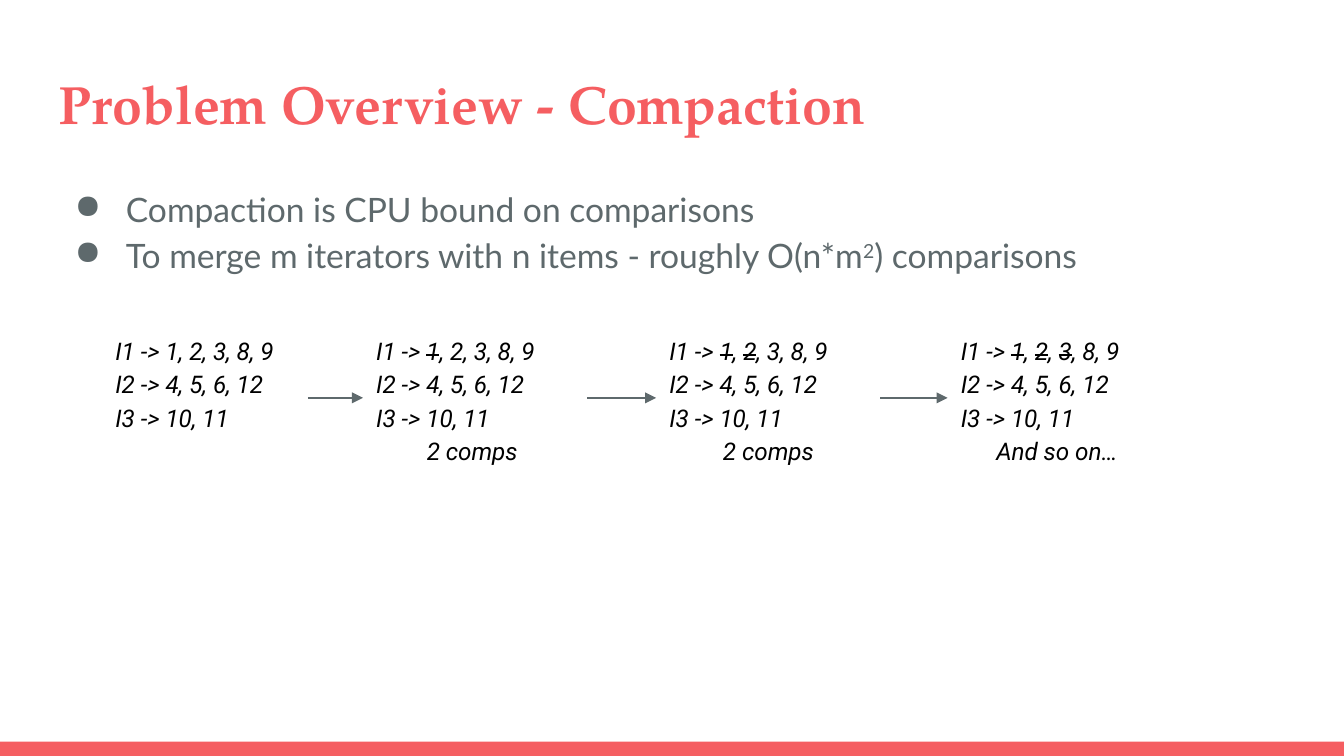
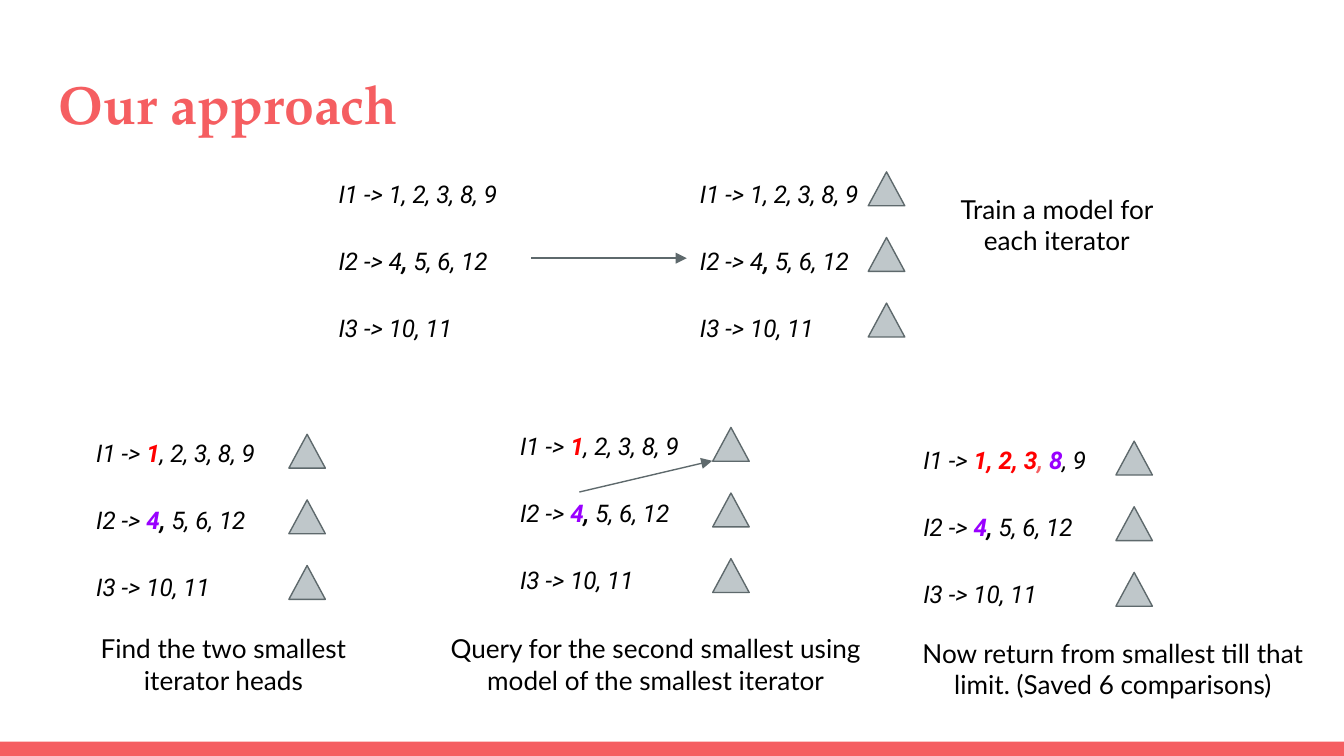
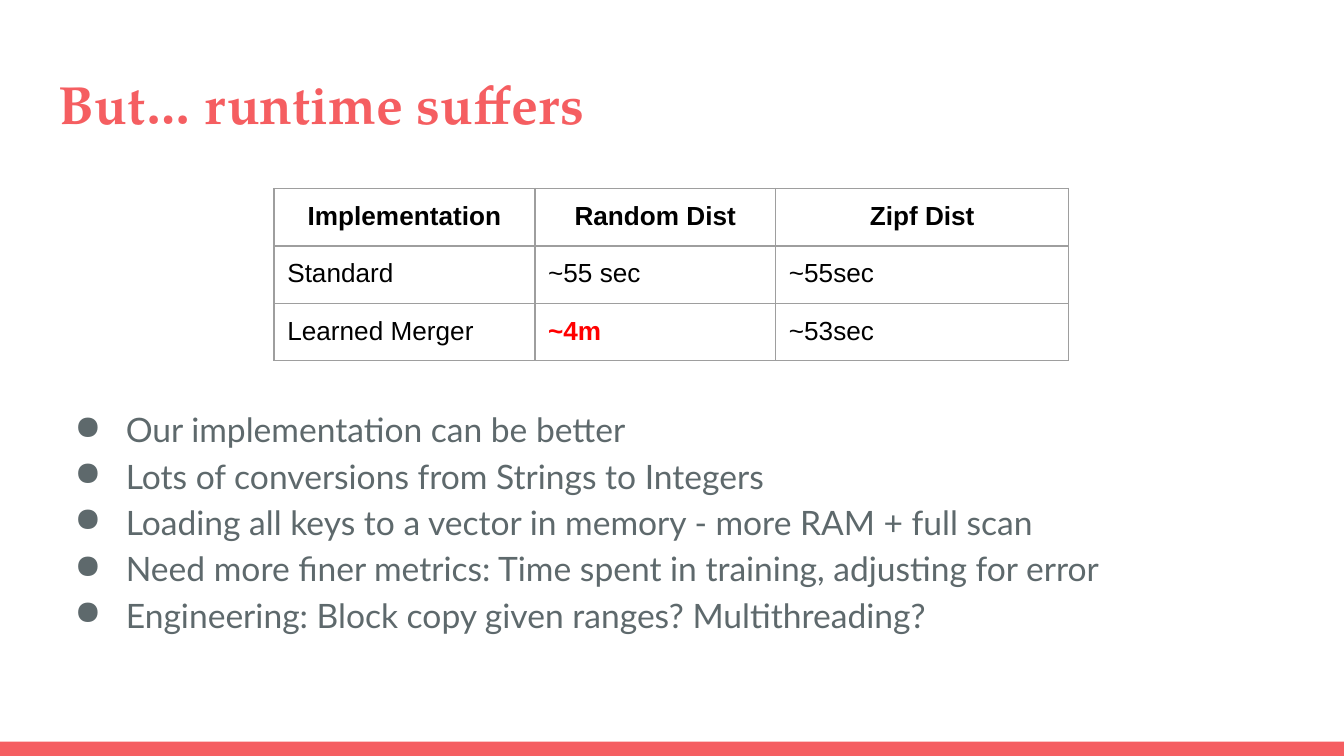
from dataclasses import dataclass

from lxml.etree import SubElement
from pptx import Presentation
from pptx.dml.color import RGBColor
from pptx.enum.shapes import MSO_CONNECTOR, MSO_SHAPE
from pptx.enum.text import MSO_ANCHOR, MSO_AUTO_SIZE, PP_ALIGN
from pptx.oxml.ns import qn
from pptx.util import Cm, Pt


@dataclass(frozen=True)
class Theme:
    coral: str = "F55E61"
    slate: str = "5E696C"
    mist: str = "BFC7CA"
    rule: str = "9E9E9E"
    black: str = "000000"
    red: str = "FF0000"
    purple: str = "9900FF"
    serif: str = "TeX Gyre Pagella"
    sans: str = "Lato"
    mono: str = "Roboto"
    grid: str = "Arial"
    head: float = 28.8
    body: float = 18
    note: float = 14
    list: float = 13
    line: float = 0.75
    lead: float = 1.15
    pad: float = 0.25


class Deck:
    def __init__(self, theme):
        self.theme = theme
        self.show = Presentation()
        self.show.slide_width = Cm(25.4)
        self.show.slide_height = Cm(14.29)
        self.slide = None

    def start(self, title):
        first = self.slide is None
        self.slide = self.show.slides.add_slide(self.show.slide_layouts[5])
        if first:
            self.band()
        box = self.slide.shapes.title
        box.left, box.top, box.width, box.height = Cm(0.86), Cm(1.09), Cm(23.67), Cm(1.73)
        frame = self.frame(box)
        frame.vertical_anchor = MSO_ANCHOR.MIDDLE
        frame.text = title
        para = frame.paragraphs[0]
        para.alignment = PP_ALIGN.LEFT
        self.font(para.runs[0], self.theme.serif, self.theme.head, self.theme.coral, True)

    def band(self):
        shape = self.shape(MSO_SHAPE.RECTANGLE, 0, 14.02, 25.4, 0.27, self.theme.coral)
        self.show.slide_master.shapes.element.append(shape.element)

    def frame(self, box):
        frame = box.text_frame
        frame.word_wrap = True
        frame.auto_size = MSO_AUTO_SIZE.NONE
        self.inset(frame)
        return frame

    def inset(self, area):
        pad = Cm(self.theme.pad)
        area.margin_left = area.margin_right = pad
        area.margin_top = area.margin_bottom = pad

    def font(self, run, name, size, color, bold=False):
        run.font.name = name
        run.font.size = Pt(size)
        run.font.bold = bold
        run.font.color.rgb = RGBColor.from_string(color)

    def fill(self, para, parts, name, size, color):
        looks = {
            "red": (self.theme.red, True),
            "purple": (self.theme.purple, True),
            "coral": (self.theme.coral, True),
            "bold": (color, True),
        }
        for part in [parts] if isinstance(parts, str) else parts:
            text, mark = (part, None) if isinstance(part, str) else part
            run = para.add_run()
            run.text = text
            tint, bold = looks.get(mark, (color, False))
            self.font(run, name, size, tint, bold)
            if mark == "struck":
                run.font._element.set("strike", "sngStrike")
            if mark == "super":
                run.font._element.set("baseline", "30000")

    def text(self, x, y, w, h, lines, name, size, color):
        box = self.slide.shapes.add_textbox(Cm(x), Cm(y), Cm(w), Cm(h))
        frame = self.frame(box)
        for i, parts in enumerate(lines):
            para = frame.paragraphs[0] if i == 0 else frame.add_paragraph()
            self.fill(para, parts, name, size, color)
        return frame.paragraphs

    def points(self, y, h, lines):
        look = self.theme
        for para in self.text(0.86, y, 23.67, h, lines, look.sans, look.body, look.slate):
            para.line_spacing = look.lead
            props = para._p.get_or_add_pPr()
            props.set("marL", str(Cm(1.27)))
            props.set("indent", str(-Cm(0.97)))
            tint = SubElement(props, qn("a:buClr"))
            SubElement(tint, qn("a:srgbClr")).set("val", look.slate)
            SubElement(props, qn("a:buChar")).set("char", "●")

    def list(self, x, y, w, lines, gap=0, note=None):
        look = self.theme
        rows = lines + [note] if note else lines
        paras = self.text(x, y, w, 3.63 if gap else 3, rows, look.mono, look.list, look.black)
        for i, para in enumerate(paras):
            para.line_spacing = look.lead
            para.space_before = Pt(gap if i else 0)
            for run in para.runs:
                run.font.italic = True
        if note:
            paras[-1].alignment = PP_ALIGN.CENTER

    def models(self, x, y):
        for i in range(3):
            self.shape(MSO_SHAPE.ISOSCELES_TRIANGLE, x, y + 1.24 * i, 0.69, 0.64,
                       self.theme.mist, self.theme.slate)

    def note(self, x, y, w, words):
        look = self.theme
        paras = self.text(x, y, w, 1.7, [words], look.sans, look.note, look.black)
        paras[0].alignment = PP_ALIGN.CENTER

    def shape(self, kind, x, y, w, h, color, edge=None):
        shape = self.slide.shapes.add_shape(kind, Cm(x), Cm(y), Cm(w), Cm(h))
        shape.shadow.inherit = False
        shape.fill.solid()
        shape.fill.fore_color.rgb = RGBColor.from_string(color)
        if edge:
            shape.line.color.rgb = RGBColor.from_string(edge)
            shape.line.width = Pt(self.theme.line)
        else:
            shape.line.fill.background()
        return shape

    def arrow(self, x1, y1, x2, y2):
        line = self.slide.shapes.add_connector(
            MSO_CONNECTOR.STRAIGHT, Cm(x1), Cm(y1), Cm(x2), Cm(y2))
        line.line.color.rgb = RGBColor.from_string(self.theme.slate)
        line.line.width = Pt(self.theme.line)
        SubElement(line.line._get_or_add_ln(), qn("a:tailEnd")).set("type", "triangle")
        SubElement(line.element.spPr, qn("a:effectLst"))

    def table(self, x, y, cols, rows, data):
        look = self.theme
        table = self.slide.shapes.add_table(
            len(rows), len(cols), Cm(x), Cm(y), Cm(sum(cols)), Cm(sum(rows))).table
        table.first_row = table.horz_banding = False
        for col, width in zip(table.columns, cols):
            col.width = Cm(width)
        for row, height, line in zip(table.rows, rows, data):
            row.height = Cm(height)
            for cell, parts in zip(row.cells, line):
                self.inset(cell)
                self.edges(cell)
                cell.fill.background()
                para = cell.text_frame.paragraphs[0]
                self.fill(para, parts, look.grid, look.note, look.black)
        for cell in table.rows[0].cells:
            para = cell.text_frame.paragraphs[0]
            para.alignment = PP_ALIGN.CENTER
            para.runs[0].font.bold = True

    def edges(self, cell):
        props = cell._tc.get_or_add_tcPr()
        for side in "LRTB":
            line = SubElement(props, qn(f"a:ln{side}"))
            line.set("w", str(Pt(self.theme.line)))
            tint = SubElement(SubElement(line, qn("a:solidFill")), qn("a:srgbClr"))
            tint.set("val", self.theme.rule)


def merge(deck):
    deck.start("Problem Overview - Compaction")
    deck.points(3.2, 9.5, [
        "Compaction is CPU bound on comparisons",
        ["To merge m iterators with n items - roughly O(n*m", ("2", "super"), ") comparisons"],
    ])
    tail = ["I2 -> 4, 5, 6, 12", "I3 -> 10, 11"]
    one, two, three = [(n, "struck") for n in "123"]
    steps = [
        (1.93, 3.89, "I1 -> 1, 2, 3, 8, 9", None),
        (6.86, 4.24, ["I1 -> ", one, ", 2, 3, 8, 9"], "2 comps "),
        (12.4, 4.24, ["I1 -> ", one, ", ", two, ", 3, 8, 9"], "2 comps"),
        (17.91, 4.24, ["I1 -> ", one, ", ", two, ", ", three, ", 8, 9"], "And so on… "),
    ]
    for x, w, head, note in steps:
        deck.list(x, 6.02, w, [head] + tail, note=note)
    for (x, w, *_), after in zip(steps, steps[1:]):
        deck.arrow(x + w, 7.52, after[0], 7.52)


def method(deck):
    deck.start("Our approach")
    wide, gap = 3.89, 18
    last = "I3 -> 10, 11"
    plain = ["I1 -> 1, 2, 3, 8, 9", ["I2 -> 4", (",", "bold"), " 5, 6, 12"], last]
    second = ["I2 -> ", ("4", "purple"), (",", "bold"), " 5, 6, 12"]
    heads = [["I1 -> ", ("1", "red"), ", 2, 3, 8, 9"], second, last]
    limit = [["I1 -> ", ("1, 2, 3", "red"), (", ", "coral"), ("8", "purple"), ", 9"],
             second, last]
    for x in (6.15, 12.98):
        deck.list(x, 3.05, wide, plain, gap)
    deck.models(16.41, 3.25)
    deck.arrow(6.15 + wide, 4.88, 12.98, 4.88)
    for x, y, lines in [(1.57, 7.95, heads), (9.58, 7.82, heads), (17.2, 8.08, limit)]:
        deck.list(x, y, wide, lines, gap)
        deck.models(x + wide, y + 0.26)
    deck.arrow(10.95, 9.3, 13.46, 8.71)
    deck.note(17.83, 3.4, 4.29, "Train a model for each iterator")
    deck.note(1.57, 11.71, 5.31, "Find the two smallest iterator heads")
    deck.note(8.23, 11.71, 8.33,
              "Query for the second smallest using model of the smallest iterator")
    deck.note(16.87, 11.79, 8.33,
              "Now return from smallest till that limit. (Saved 6 comparisons)")


def runtime(deck):
    deck.start("But… runtime suffers")
    deck.points(7.37, 5.33, [
        "Our implementation can be better",
        "Lots of conversions from Strings to Integers",
        "Loading all keys to a vector in memory - more RAM + full scan",
        "Need more finer metrics: Time spent in training, adjusting for error",
        "Engineering: Block copy given ranges? Multithreading?",
    ])
    deck.table(5.18, 3.56, [4.93, 4.55, 5.54], [1.09, 1.09, 1.07], [
        ["Implementation", "Random Dist", "Zipf Dist"],
        ["Standard", "~55 sec", "~55sec"],
        ["Learned Merger", [("~4m", "red")], "~53sec"],
    ])


def main():
    deck = Deck(Theme())
    merge(deck)
    method(deck)
    runtime(deck)
    deck.show.save("out.pptx")


if __name__ == "__main__":
    main()
